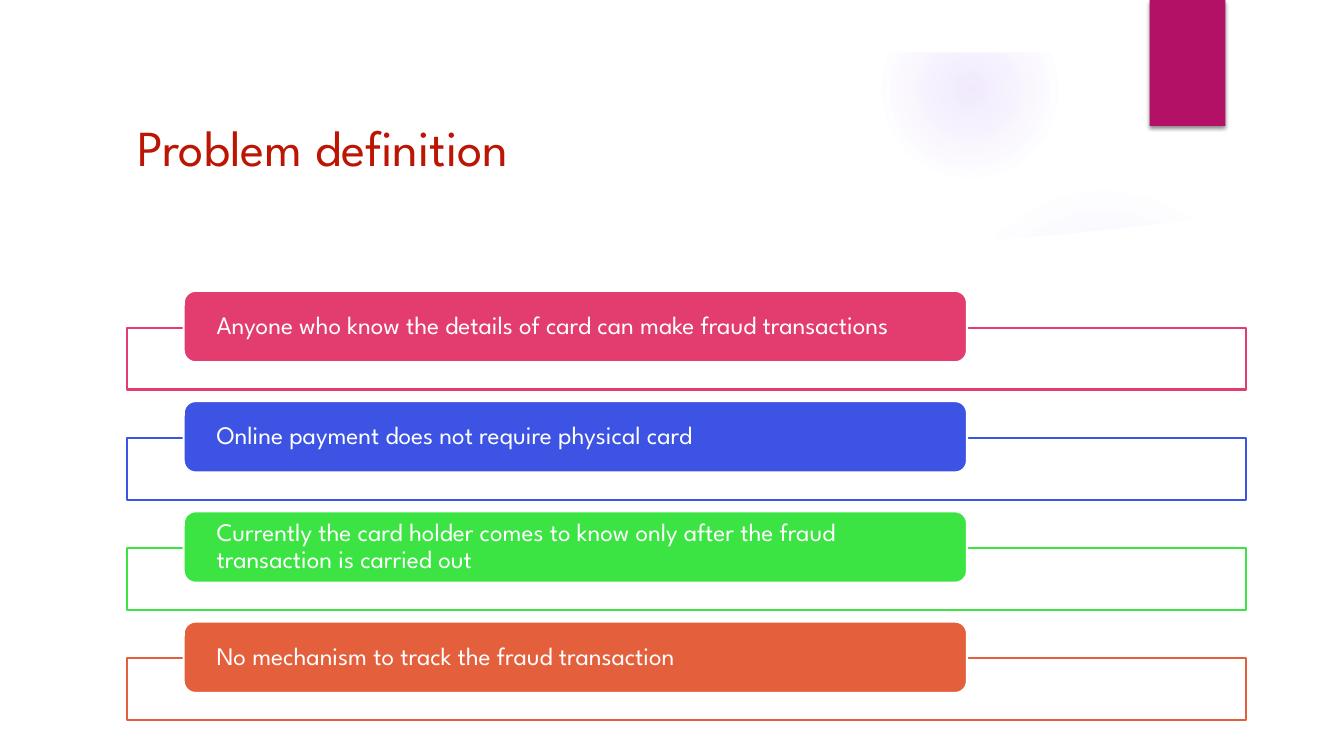
"""Build the problem definition slide with four coloured statement rows."""
from dataclasses import dataclass

from lxml.etree import SubElement
from pptx import Presentation
from pptx.dml.color import RGBColor
from pptx.enum.shapes import MSO_SHAPE as Preset
from pptx.enum.text import MSO_ANCHOR as Anchor, MSO_AUTO_SIZE as AutoSize, PP_ALIGN as Align
from pptx.oxml import parse_xml
from pptx.oxml.ns import nsdecls, qn
from pptx.shapes.autoshape import Shape
from pptx.slide import Slide
from pptx.text.text import TextFrame
from pptx.util import Pt

PX = 9525
FONT = "League Spartan"
WHITE = RGBColor(0xFF, 0xFF, 0xFF)
RED = RGBColor(0xBD, 0x15, 0x03)
MAGENTA = RGBColor(0xB3, 0x11, 0x66)
PINK = RGBColor(0xE3, 0x3D, 0x6F)
BLUE = RGBColor(0x3D, 0x53, 0xE3)
GREEN = RGBColor(0x3C, 0xE4, 0x43)
ORANGE = RGBColor(0xE4, 0x5F, 0x3C)
VIOLET = RGBColor(0x9B, 0x6B, 0xF2)


@dataclass(frozen=True)
class Box:
    left: int
    top: int
    width: int
    height: int

    def emu(self) -> tuple[int, int, int, int]:
        return self.left * PX, self.top * PX, self.width * PX, self.height * PX

    def lowered(self, distance: int) -> "Box":
        return Box(self.left, self.top + distance, self.width, self.height)


@dataclass(frozen=True)
class Glow:
    box: Box
    stops: tuple[tuple[int, int], ...]


@dataclass(frozen=True)
class Statement:
    text: str
    color: RGBColor


FRAME = Box(121, 312, 1066, 59)
PILL = Box(175, 277, 746, 68)
ROW_PITCH = 105
TEXT_INSET = 28
TITLE = Box(121, 102, 920, 74)
RIBBON = Box(1095, 0, 72, 120)
TOP_MARGIN = Box(0, 0, 1280, 50)
PANEL_EDGE = [(870, 231), (937, 229), (1017, 223), (1098, 214), (1152, 208),
              (1233, 196), (1233, 480), (870, 480)]
GLOWS = [
    Glow(Box(903, 176, 296, 296), ((0, 7), (36, 6), (69, 0))),
    Glow(Box(840, 1, 168, 168), ((0, 14), (36, 7), (73, 0))),
]
STATEMENTS = [
    Statement("Anyone who know the details of card can make fraud transactions", PINK),
    Statement("Online payment does not require physical card", BLUE),
    Statement("Currently the card holder comes to know only after the fraud "
              "transaction is carried out", GREEN),
    Statement("No mechanism to track the fraud transaction", ORANGE),
]


def paint(shape: Shape, fill: RGBColor, line: RGBColor | None = None) -> None:
    shape.shadow.inherit = False
    shape.fill.solid()
    shape.fill.fore_color.rgb = fill
    if line is None:
        shape.line.fill.background()
    else:
        shape.line.color.rgb = line
        shape.line.width = Pt(1.5)


def add_box(slide: Slide, preset: Preset, box: Box, fill: RGBColor,
            line: RGBColor | None = None) -> Shape:
    shape = slide.shapes.add_shape(preset, *box.emu())
    paint(shape, fill, line)
    return shape


def write(frame: TextFrame, text: str, size: int, color: RGBColor) -> None:
    frame.text = text
    frame.word_wrap = True
    frame.auto_size = AutoSize.NONE
    frame.vertical_anchor = Anchor.MIDDLE
    paragraph = frame.paragraphs[0]
    paragraph.alignment = Align.LEFT
    font = paragraph.runs[0].font
    font.name, font.size, font.color.rgb = FONT, Pt(size), color


def add_glow(slide: Slide, glow: Glow) -> None:
    shape = add_box(slide, Preset.OVAL, glow.box, VIOLET)
    stops = "".join(
        f'<a:gs pos="{position * 1000}"><a:srgbClr val="{VIOLET}">'
        f'<a:alpha val="{opacity * 1000}"/></a:srgbClr></a:gs>'
        for position, opacity in glow.stops)
    gradient = parse_xml(
        f'<a:gradFill {nsdecls("a")} rotWithShape="1"><a:gsLst>{stops}</a:gsLst>'
        '<a:path path="circle"><a:fillToRect l="50000" t="50000" r="50000" b="50000"/>'
        '</a:path></a:gradFill>')
    properties = shape._element.spPr
    properties.replace(properties.find(qn("a:solidFill")), gradient)


def add_panel(slide: Slide) -> None:
    builder = slide.shapes.build_freeform(*PANEL_EDGE[0], scale=PX)
    builder.add_line_segments(PANEL_EDGE[1:], close=True)
    paint(builder.convert_to_shape(), WHITE)


def add_ribbon(slide: Slide) -> None:
    ribbon = add_box(slide, Preset.RECTANGLE, RIBBON, MAGENTA)
    effects = ribbon._element.spPr.find(qn("a:effectLst"))
    shadow = SubElement(effects, qn("a:outerShdw"), blurRad=str(Pt(3)), dist=str(Pt(2)),
                        dir="5400000", rotWithShape="0")
    color = SubElement(shadow, qn("a:srgbClr"), val="000000")
    SubElement(color, qn("a:alpha"), val="45000")


def add_title(slide: Slide) -> None:
    title = slide.shapes.title
    title.left, title.top, title.width, title.height = TITLE.emu()
    write(title.text_frame, "Problem definition", 36, RED)


def add_statement(slide: Slide, statement: Statement, distance: int) -> None:
    add_box(slide, Preset.RECTANGLE, FRAME.lowered(distance), WHITE, statement.color)
    pill = add_box(slide, Preset.ROUNDED_RECTANGLE, PILL.lowered(distance),
                   statement.color, WHITE)
    frame = pill.text_frame
    write(frame, statement.text, 18, WHITE)
    frame.margin_left = frame.margin_right = TEXT_INSET * PX
    frame.margin_top = frame.margin_bottom = 0
    frame.paragraphs[0].line_spacing = 0.9


def main() -> None:
    presentation = Presentation()
    presentation.slide_width, presentation.slide_height = 1280 * PX, 720 * PX
    slide = presentation.slides.add_slide(presentation.slide_layouts[5])
    for glow in GLOWS:
        add_glow(slide, glow)
    add_panel(slide)
    add_box(slide, Preset.RECTANGLE, TOP_MARGIN, WHITE)
    add_ribbon(slide)
    add_title(slide)
    for row, statement in enumerate(STATEMENTS):
        add_statement(slide, statement, row * ROW_PITCH)
    presentation.save("out.pptx")


if __name__ == "__main__":
    main()
